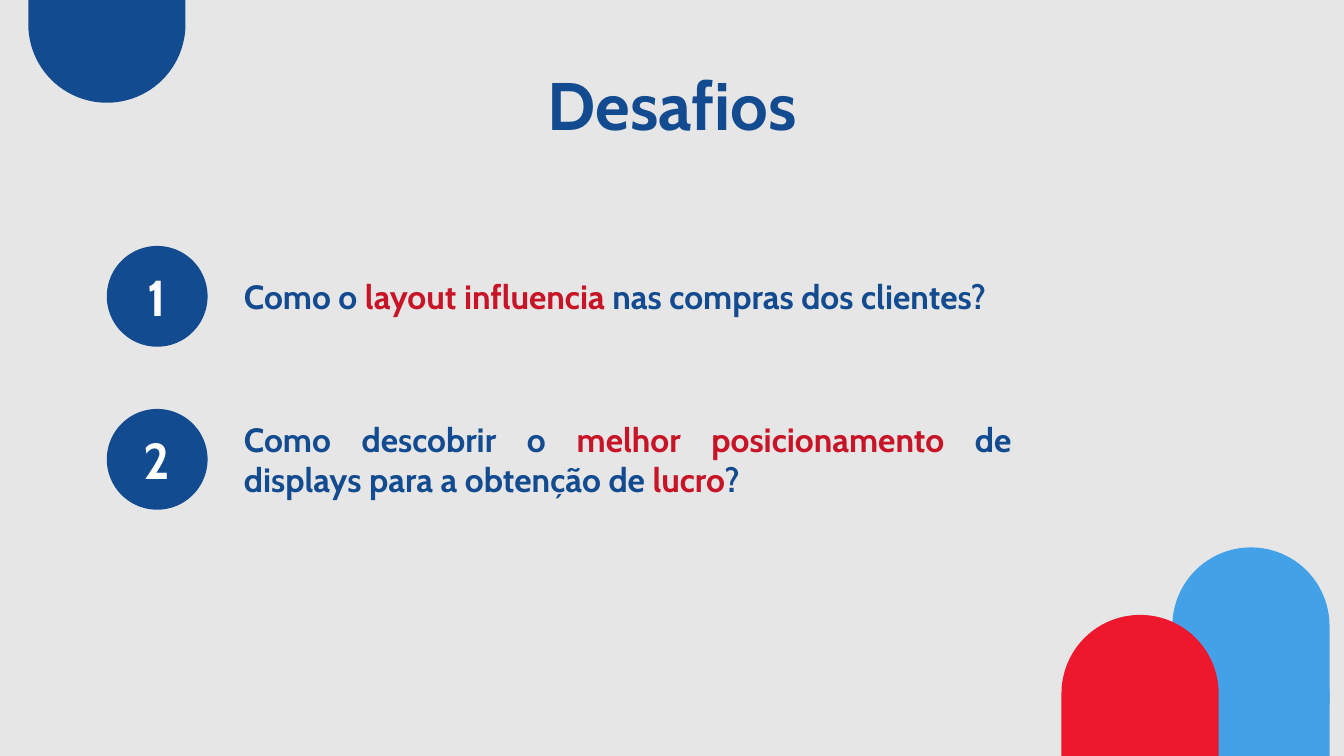
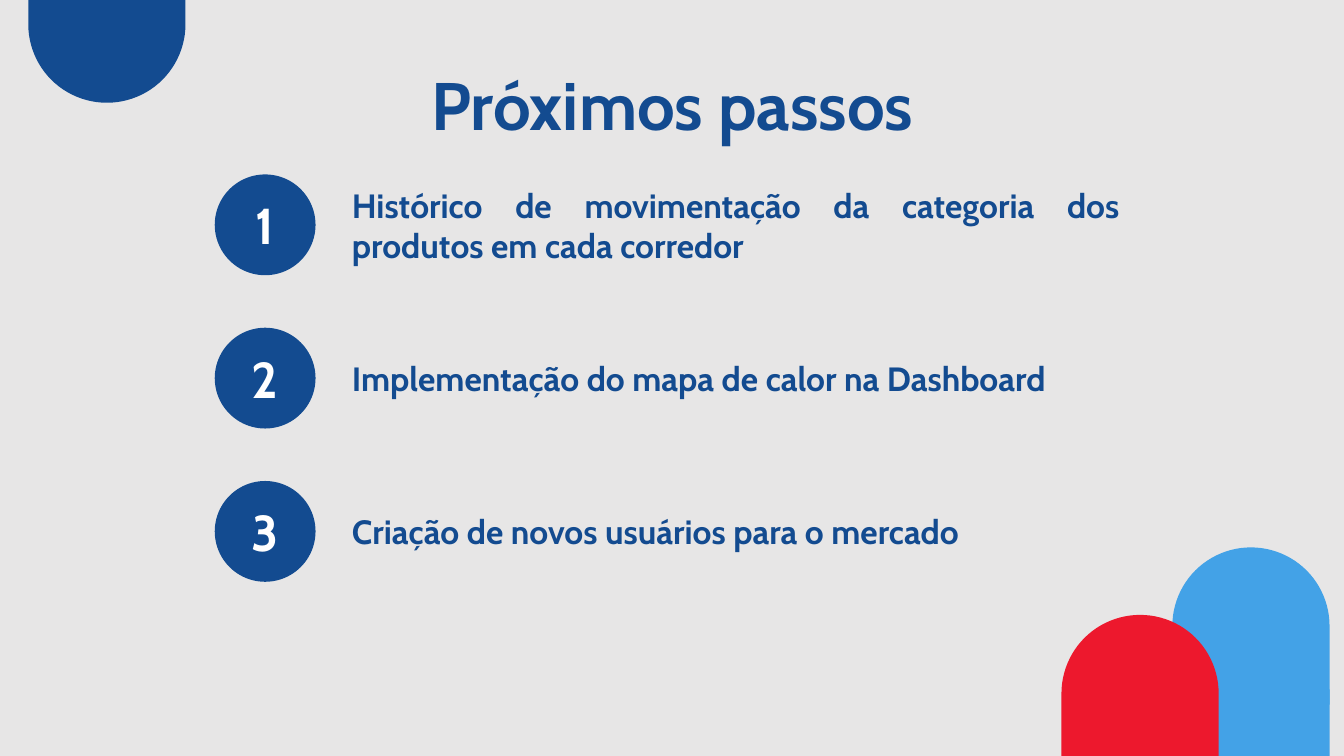
from dataclasses import dataclass

from pptx import Presentation
from pptx.dml.color import RGBColor
from pptx.enum.shapes import MSO_SHAPE
from pptx.enum.text import MSO_ANCHOR, MSO_AUTO_SIZE, PP_ALIGN
from pptx.shapes.autoshape import Shape
from pptx.slide import Slide
from pptx.text.text import TextFrame
from pptx.util import Pt

DISC, ARCH, RECT = MSO_SHAPE.OVAL, MSO_SHAPE.FLOWCHART_DELAY, MSO_SHAPE.RECTANGLE
MIDDLE, FIXED = MSO_ANCHOR.MIDDLE, MSO_AUTO_SIZE.NONE
CENTER, JUSTIFY = PP_ALIGN.CENTER, PP_ALIGN.JUSTIFY


@dataclass(frozen=True)
class Theme:
    font: str = "Cabin"
    back: str = "E7E6E6"
    navy: str = "134B90"
    sky: str = "43A2E7"
    red: str = "ED182D"
    accent: str = "C71426"
    white: str = "FFFFFF"
    title: int = 48
    number: int = 36
    body: int = 24


@dataclass(frozen=True)
class Part:
    kind: int
    left: float
    top: float
    width: float
    height: float
    color: str
    turn: int = 0


@dataclass(frozen=True)
class Page:
    title: str
    left: float
    top: float
    pitch: float
    items: tuple[str, ...]  # words between asterisks take the accent colour


THEME = Theme()
WIDE, HIGH = 960, 540
SIDE = 112.3  # width of each arch
SIZE = 72  # diameter of a number disc
GAP = 18.9  # from disc to text box
SPAN = 562.3  # width of a text box

DECOR = (
    Part(ARCH, 837.4, 391, SIDE, SIDE, THEME.sky, 270),
    Part(RECT, 837.4, 492.5, SIDE, HIGH - 492.5, THEME.sky),
    Part(ARCH, 758.2, 439.2, SIDE, SIDE, THEME.red, 270),
    Part(ARCH, 20.2, -38.9, SIDE, SIDE, THEME.navy, 90),
)

PAGES = (
    Page("Desafios", 76.3, 175.7, 116.4, (
        "Como o *layout influencia* nas compras dos clientes?",
        "Como descobrir o *melhor posicionamento* de displays "
        "para a obtenção de *lucro*?",
    )),
    Page("Próximos passos", 153.4, 124.6, 109.5, (
        "Histórico de movimentação da categoria dos produtos em cada corredor",
        "Implementação do mapa de calor na Dashboard",
        "Criação de novos usuários para o mercado",
    )),
)


def write(frame: TextFrame, text: str, *, size: int, color: str = THEME.navy,
          align: int = CENTER, inset: float = 0) -> None:
    """Fill a frame with bold text, accenting words between asterisks."""
    frame.word_wrap = True
    frame.auto_size = FIXED
    frame.vertical_anchor = MIDDLE
    frame.margin_left = frame.margin_right = Pt(inset)
    frame.margin_top = frame.margin_bottom = Pt(0)
    line = frame.paragraphs[0]
    line.alignment = align
    for i, piece in enumerate(text.split("*")):
        run = line.add_run()
        run.text = piece
        font = run.font
        font.name, font.size, font.bold = THEME.font, Pt(size), True
        font.color.rgb = RGBColor.from_string(THEME.accent if i % 2 else color)


def draw(slide: Slide, part: Part) -> Shape:
    shape = slide.shapes.add_shape(part.kind, Pt(part.left), Pt(part.top),
                                   Pt(part.width), Pt(part.height))
    shape.rotation = part.turn
    shape.shadow.inherit = False
    shape.fill.solid()
    shape.fill.fore_color.rgb = RGBColor.from_string(part.color)
    shape.line.fill.background()
    return shape


def add_item(slide: Slide, number: int, text: str, left: float, top: float) -> None:
    disc = draw(slide, Part(DISC, left, top, SIZE, SIZE, THEME.navy))
    write(disc.text_frame, str(number), size=THEME.number, color=THEME.white)
    box = slide.shapes.add_textbox(Pt(left + SIZE + GAP), Pt(top), Pt(SPAN), Pt(SIZE))
    write(box.text_frame, text, size=THEME.body, align=JUSTIFY, inset=7.2)


def main() -> None:
    deck = Presentation()
    deck.slide_width, deck.slide_height = Pt(WIDE), Pt(HIGH)

    # Shared background and title place
    fill = deck.slide_master.background.fill
    fill.solid()
    fill.fore_color.rgb = RGBColor.from_string(THEME.back)
    layout = deck.slide_layouts.get_by_name("Title Only")
    head = layout.placeholders[0]
    head.left, head.top, head.width, head.height = Pt(182.2), Pt(41), Pt(596.2), Pt(65.5)

    # Slides
    for page in PAGES:
        slide = deck.slides.add_slide(layout)
        write(slide.shapes.title.text_frame, page.title, size=THEME.title)
        for part in DECOR:
            draw(slide, part)
        for i, text in enumerate(page.items):
            add_item(slide, i + 1, text, page.left, page.top + i * page.pitch)

    deck.save("out.pptx")


if __name__ == "__main__":
    main()
